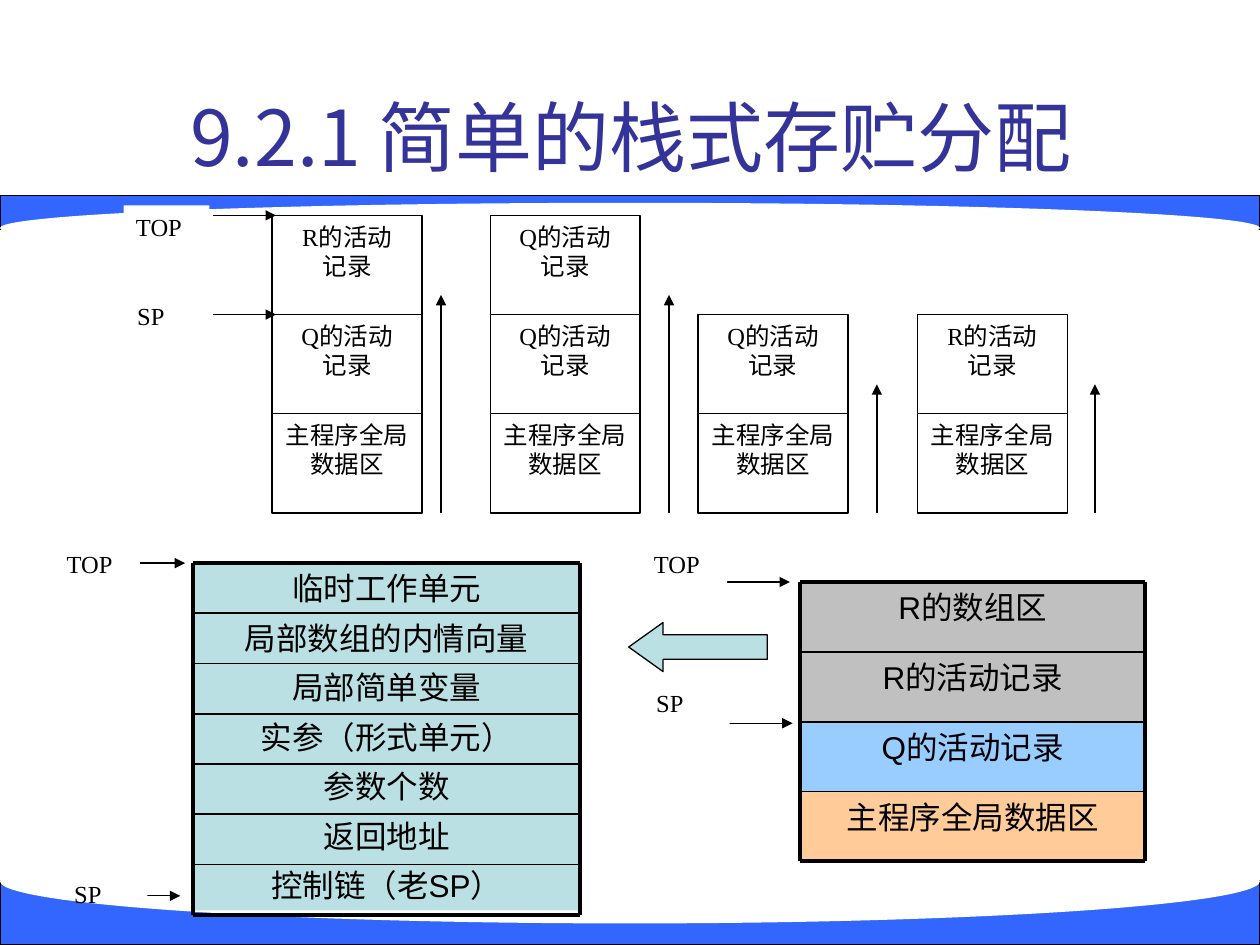
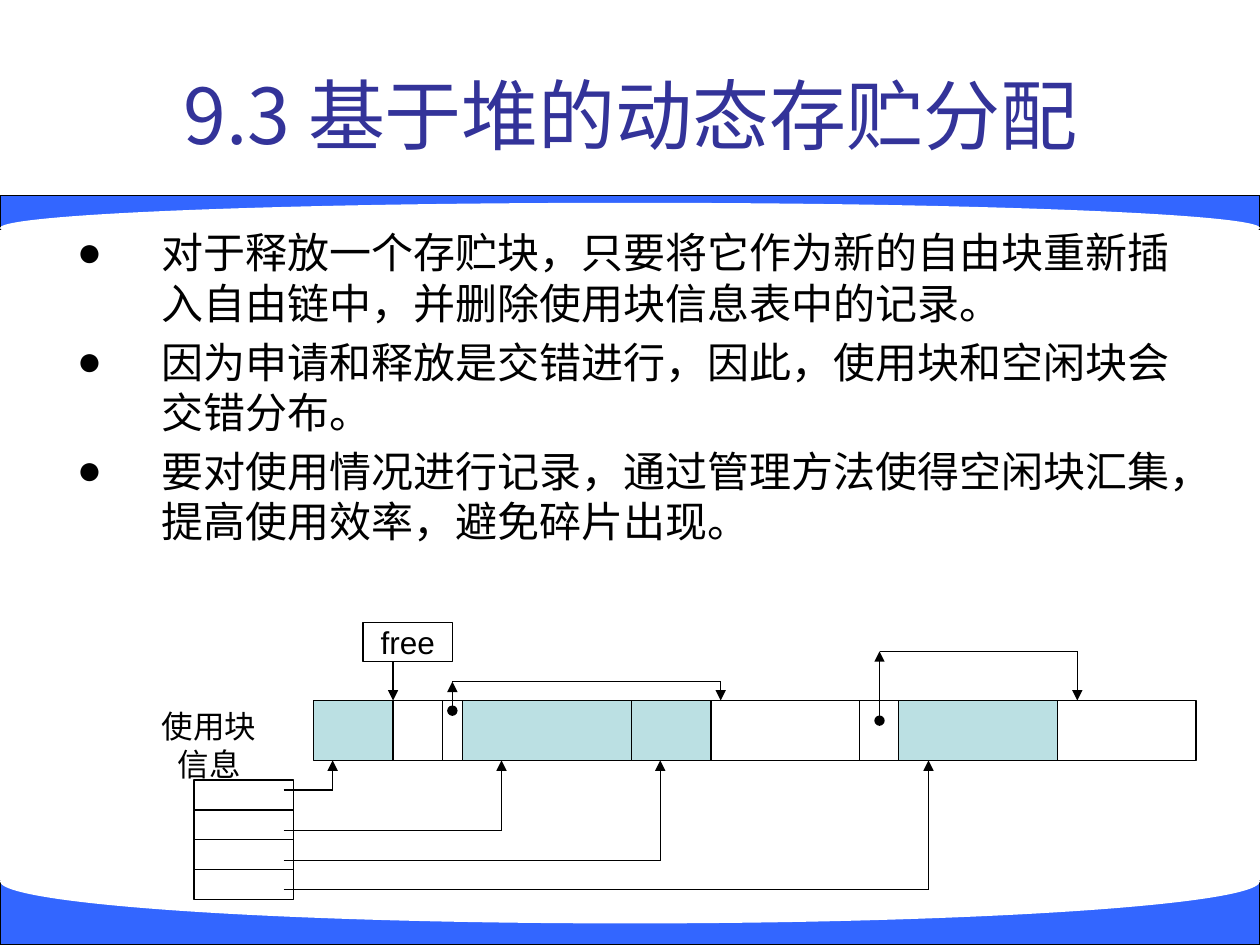
from itertools import accumulate

from lxml.etree import SubElement
from pptx import Presentation
from pptx.dml.color import RGBColor
from pptx.enum.shapes import MSO_CONNECTOR, MSO_SHAPE as SHAPE
from pptx.enum.text import MSO_ANCHOR as ANCHOR, MSO_AUTO_SIZE, PP_ALIGN as ALIGN
from pptx.oxml.ns import qn
from pptx.util import Pt

BLACK, WHITE, BLUE, NAVY = "000000", "FFFFFF", "3366FF", "333399"
TEAL, GREY, SKY, PEACH = "BBE0E3", "C0C0C0", "99CCFF", "FFCC99"
SANS, SERIF, CJK = "Arial", "Times New Roman", "Noto Sans CJK SC"

# Shared bands: shape, top, height, fill, line
BANDS = [
    (SHAPE.RECTANGLE, 111.6, 19.4, BLUE, BLACK),
    (SHAPE.OVAL, 115.9, 28.8, WHITE, None),
    (SHAPE.RECTANGLE, 503.3, 36.7, BLUE, BLACK),
    (SHAPE.OVAL, 479.5, 48.2, WHITE, None),
]

# Slide 1
STACK_TITLE = "9.2.1 简单的栈式存贮分配"
MAIN, REC_Q, REC_R = ["主程序全局", "数据区"], ["Q的活动", "记录"], ["R的活动", "记录"]
STACK_BOTTOM, FRAME_W, FRAME_H = 293.2, 85.7, 56.7
# left, frames from the bottom up, growth arrow x and tip
STACKS = [
    (155.5, [MAIN, REC_Q, REC_R], 252, 168.5),
    (280.1, [MAIN, REC_Q, REC_Q], 382.3, 168.5),
    (398.9, [MAIN, REC_Q], 501.1, 219.6),
    (524.2, [MAIN, REC_R], 625.7, 219.6),
]
RECORD = dict(left=110.2, top=321.8, width=221.4, pitch=28.3, rule_pitch=28.7, rows=[
    (label, TEAL) for label in (
        "临时工作单元", "局部数组的内情向量", "局部简单变量", "实参（形式单元）",
        "参数个数", "返回地址", "控制链（老SP）")])
MEMORY = dict(left=457.2, top=332.6, width=197.3, pitch=39.9, rule_pitch=39.9, rows=[
    ("R的数组区", GREY), ("R的活动记录", GREY), ("Q的活动记录", SKY),
    ("主程序全局数据区", PEACH)])
# label, its left, top and height, then arrow start, end and y
POINTERS = [
    ("TOP", 70.6, 117.4, 33.8, 121.7, 157.7, 123.1),
    ("SP", 71.3, 168.5, 33.8, 121.7, 157.7, 179.8),
    ("TOP", 31, 310.3, 22.3, 69.1, 105.8, 321.8),
    ("SP", 35.3, 499, 15.1, 66.2, 103, 511.9),
    ("TOP", 366.5, 310.3, 33.8, 414.7, 451.4, 332.6),
    ("SP", 367.9, 389.5, 33.8, 416.2, 452.9, 413.3),
]

# Slide 2
HEAP_TITLE = "9.3 基于堆的动态存贮分配"
HEAP_POINTS = [
    "对于释放一个存贮块，只要将它作为新的自由块重新插入自由链中，并删除使用块信息表中的记录。",
    "因为申请和释放是交错进行，因此，使用块和空闲块会交错分布。",
    "要对使用情况进行记录，通过管理方法使得空闲块汇集，提高使用效率，避免碎片出现。",
]
HEAP_LEFT, HEAP_TOP, HEAP_H = 179.3, 400.3, 34.2
# width, in use
HEAP_BLOCKS = [(45.4, True), (28.1, False), (11.5, False), (96.5, True), (45.4, True),
               (85, False), (22.3, False), (90.7, True), (79.2, False)]
# start x, dot y, bend y, target x
FREE_CHAIN = [(258.5, 406.1, 389.5, 411.8), (502.6, 411.8, 372.2, 615.6)]
USED_LEFT, USED_TOP, USED_W, USED_H = 110.9, 445.7, 56.9, 17.1
# row y, target x
USED_LINKS = [(451.4, 190.1), (474.5, 286.6), (491.8, 377.3), (508.3, 530.6)]


def rgb(hex_color):
    return RGBColor.from_string(hex_color)


def place(s, left, top, width, height):
    s.left, s.top, s.width, s.height = Pt(left), Pt(top), Pt(width), Pt(height)


def write(tf, lines, size, font, color=BLACK, align=ALIGN.CENTER, leading=1.2,
          gap=0, bullet=None):
    """Write one paragraph per line; leading None keeps the font's own line height."""
    for i, line in enumerate(lines):
        p = tf.add_paragraph() if i else tf.paragraphs[0]
        p.alignment = align
        if leading:
            p.line_spacing = Pt(round(size * leading, 1))
        p.space_before = Pt(gap if i else 0)
        if bullet:
            pPr = p._p.get_or_add_pPr()
            pPr.set("marL", str(Pt(48.2)))
            pPr.set("indent", str(Pt(-48.2)))
            SubElement(pPr, qn("a:buChar")).set("char", bullet)
        r = p.add_run()
        r.text = line
        r.font.size = Pt(size)
        r.font.color.rgb = rgb(color)
        r.font.name = font
        SubElement(r.font._element, qn("a:ea")).set("typeface", CJK)


def box(slide, left, top, width, height, fill=None, line=BLACK, kind=SHAPE.RECTANGLE,
        lines=(), size=18, font=SANS, align=ALIGN.CENTER, anchor=ANCHOR.TOP, wrap=True):
    sp = slide.shapes.add_shape(kind, Pt(left), Pt(top), Pt(width), Pt(height))
    sp.shadow.inherit = False
    if fill:
        sp.fill.solid()
        sp.fill.fore_color.rgb = rgb(fill)
    else:
        sp.fill.background()
    if line:
        sp.line.color.rgb = rgb(line)
        sp.line.width = Pt(0.75)
    else:
        sp.line.fill.background()
    tf = sp.text_frame
    tf.word_wrap, tf.vertical_anchor = wrap, anchor
    write(tf, lines, size, font, align=align)
    return sp


def line(slide, x1, y1, x2, y2, width=0.75, head=None, tail=None):
    c = slide.shapes.add_connector(MSO_CONNECTOR.STRAIGHT, Pt(x1), Pt(y1), Pt(x2), Pt(y2))
    c.line.color.rgb = rgb(BLACK)
    c.line.width = Pt(width)
    spPr = c.element.spPr
    for tag, end in (("a:headEnd", head), ("a:tailEnd", tail)):
        if end:
            SubElement(spPr.find(qn("a:ln")), qn(tag)).set("type", end)
    SubElement(spPr, qn("a:effectLst"))


def arrow(slide, x1, y1, x2, y2, head=None):
    line(slide, x1, y1, x2, y2, head=head, tail="triangle")


def add_slide(prs, layout, title, top, height):
    slide = prs.slides.add_slide(prs.slide_layouts[layout])
    s = slide.shapes.title
    place(s, 36.7, top, 648, height)
    tf = s.text_frame
    tf.auto_size, tf.vertical_anchor = MSO_AUTO_SIZE.NONE, ANCHOR.MIDDLE
    write(tf, [title], 44, CJK, NAVY, leading=None)
    return slide


def add_bands(prs, slide):
    """Draw the bands, then move them to the back of the slide master."""
    tree = prs.slide_master.shapes.element
    for i, (kind, top, height, fill, edge) in enumerate(BANDS):
        sp = box(slide, 0, top, 720, height, fill, edge, kind)
        sp.element.nvSpPr.cNvPr.id = 101 + i
        tree.insert(2 + i, sp.element)


def ruled_stack(slide, left, top, width, pitch, rule_pitch, rows):
    """Draw filled rows with thin rules between them and a thick frame around them."""
    for i, (label, fill) in enumerate(rows):
        box(slide, left, top + i * pitch, width, pitch + 0.4, fill, None, lines=[label])
    right, n = left + width, len(rows)
    for i in range(n + 1):
        y = top + i * rule_pitch
        line(slide, left, y, right, y, 2.25 if i in (0, n) else 1)
    for x in (left, right):
        line(slide, x, top, x, top + n * rule_pitch, 2.25)


def stack_slide(prs):
    slide = add_slide(prs, 5, STACK_TITLE, 43.9, 67)
    add_bands(prs, slide)
    for left, frames, arrow_x, tip in STACKS:
        for level, lines in enumerate(frames, 1):
            box(slide, left, STACK_BOTTOM - level * FRAME_H, FRAME_W, FRAME_H, WHITE,
                lines=lines, size=14, font=SERIF)
        arrow(slide, arrow_x, STACK_BOTTOM, arrow_x, tip)
    ruled_stack(slide, **RECORD)
    ruled_stack(slide, **MEMORY)
    for label, left, top, height, x1, x2, y in POINTERS:
        arrow(slide, x1, y, x2, y)
        box(slide, left, top, 49, height, WHITE, None, lines=[label], size=14,
            font=SERIF, align=ALIGN.JUSTIFY)
    detail = box(slide, 359.3, 355.7, 79.2, 28.1, TEAL, kind=SHAPE.LEFT_ARROW)
    detail.adjustments[0], detail.adjustments[1] = 0.5, 0.7


def heap_slide(prs):
    slide = add_slide(prs, 1, HEAP_TITLE, 20.2, 90)
    body = slide.placeholders[1]
    place(body, 36.7, 126, 648, 212.4)
    body.text_frame.auto_size = MSO_AUTO_SIZE.NONE
    write(body.text_frame, HEAP_POINTS, 24, SANS, align=ALIGN.LEFT, gap=4.8, bullet="●")

    widths = [width for width, _ in HEAP_BLOCKS]
    for left, (width, used) in zip(accumulate(widths, initial=HEAP_LEFT), HEAP_BLOCKS):
        box(slide, left, HEAP_TOP, width, HEAP_H, TEAL if used else None)
    box(slide, 207.4, 355.7, 51.1, 22.3, lines=["free"], anchor=ANCHOR.MIDDLE, wrap=False)
    arrow(slide, 224.6, 378, 224.6, HEAP_TOP)
    for x1, dot_y, bend_y, x2 in FREE_CHAIN:
        arrow(slide, x1, dot_y, x1, bend_y, head="oval")
        line(slide, x1, bend_y, x2, bend_y)
        arrow(slide, x2, bend_y, x2, HEAP_TOP)

    for i, (y, x) in enumerate(USED_LINKS):
        box(slide, USED_LEFT, USED_TOP + i * USED_H, USED_W, USED_H)
        line(slide, 162, y, x, y)
        arrow(slide, x, y, x, HEAP_TOP + HEAP_H)
    label = slide.shapes.add_textbox(Pt(82.8), Pt(411.8), Pt(73.4), Pt(28.1))
    tf = label.text_frame
    tf.word_wrap, tf.vertical_anchor = False, ANCHOR.MIDDLE
    write(tf, ["使用块信息"], 18, SANS)


def main():
    prs = Presentation()
    prs.slide_width, prs.slide_height = Pt(720), Pt(540)
    stack_slide(prs)
    heap_slide(prs)
    prs.save("out.pptx")


if __name__ == "__main__":
    main()
